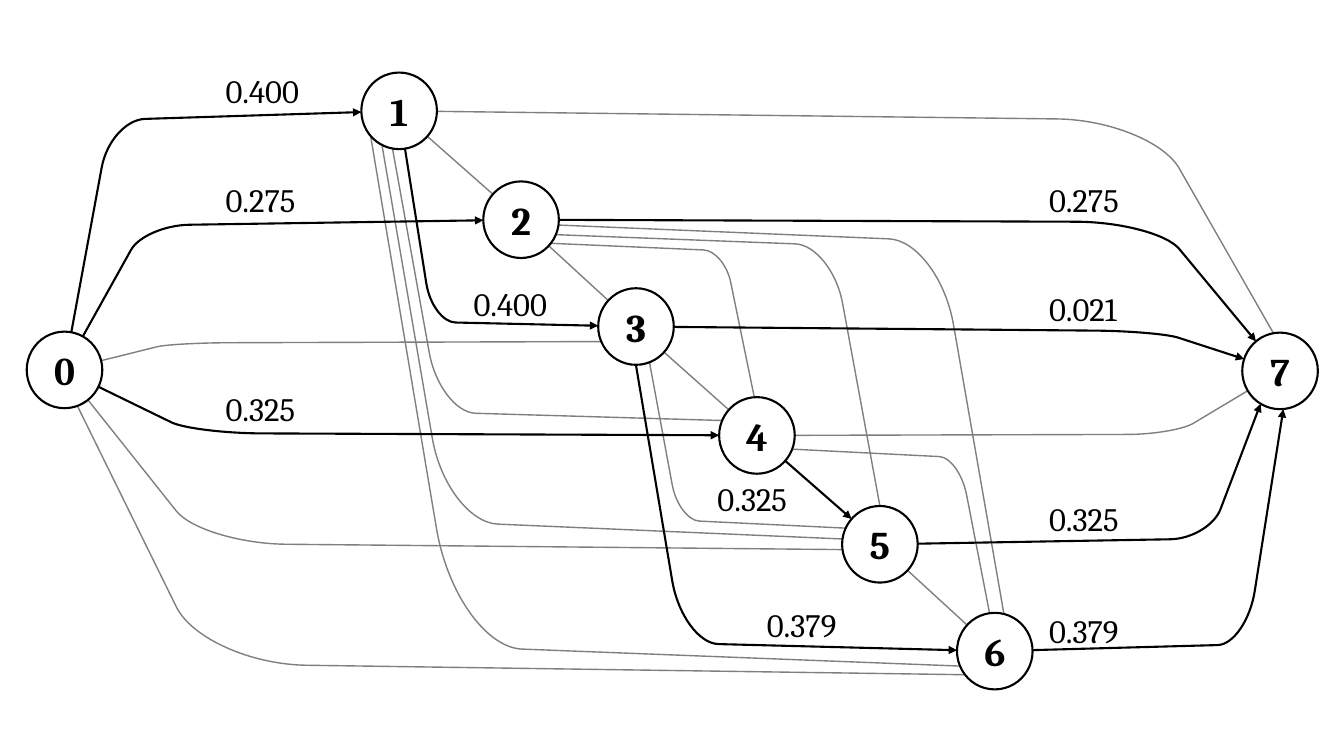
from dataclasses import dataclass
from math import atan2, cos, radians, sin

from lxml.etree import Element, SubElement
from pptx import Presentation
from pptx.dml.color import RGBColor
from pptx.enum.shapes import MSO_CONNECTOR, MSO_SHAPE
from pptx.enum.text import MSO_ANCHOR, MSO_AUTO_SIZE, PP_ALIGN
from pptx.oxml.ns import qn
from pptx.util import Cm, Pt

Point = tuple[float, float]

BLACK = RGBColor(0x00, 0x00, 0x00)
GRAY = RGBColor(0x7F, 0x7F, 0x7F)
WHITE = RGBColor(0xFF, 0xFF, 0xFF)
NODE_W, NODE_H = 0.75, 0.76
LABEL_W, LABEL_H = 0.95, 0.49
ROUNDING = 0.55
NODE_FONT = {"name": "Cambria", "size": Pt(28), "bold": True}
LABEL_FONT = {"name": "Cambria", "size": Pt(23.3)}


def grid(v: float) -> Cm:
    """Length of v diagram units; one unit is 2.54 cm."""
    return Cm(2.54 * v)


@dataclass
class Edge:
    """An edge named by its two nodes, with an optional bend.

    leave and arrive are the angles of its ends on the node circles, in
    degrees; without them an end faces the next point of the edge.
    """
    nodes: str
    bend: tuple[Point, Point] | None = None
    leave: float | None = None
    arrive: float | None = None


@dataclass
class Label:
    text: str
    x: float
    y: float


CENTERS: dict[str, Point] = {
    "0": (0.64, 3.67), "1": (3.96, 1.1), "2": (5.17, 2.18), "3": (6.31, 3.24),
    "4": (7.51, 4.32), "5": (8.73, 5.4), "6": (9.87, 6.46), "7": (12.7, 3.68),
}

LEFT, RIGHT = 2.14, 10.31
LABELS = [
    Label("0.400", LEFT, 0.65), Label("0.275", LEFT, 1.74), Label("0.325", LEFT, 3.81),
    Label("0.400", 4.6, 2.77), Label("0.325", 7.02, 4.7), Label("0.379", 7.51, 5.95),
    Label("0.275", RIGHT, 1.74), Label("0.021", RIGHT, 2.82),
    Label("0.325", RIGHT, 4.9), Label("0.379", RIGHT, 6.01),
]

UNUSED_EDGES = [
    *map(Edge, ("12", "23", "34", "56")),
    Edge("03", ((1.56, 3.44), (2.28, 3.4)), arrive=157),
    Edge("05", ((1.75, 5.07), (2.84, 5.4)), arrive=172),
    Edge("06", ((1.75, 6.02), (3.04, 6.6)), leave=70, arrive=142),
    Edge("14", ((4.26, 3.5), (4.72, 4.1)), leave=100, arrive=203),
    Edge("15", ((4.29, 4.35), (4.94, 5.2)), leave=117, arrive=188),
    Edge("16", ((4.33, 5.24), (5.18, 6.44)), leave=139, arrive=157),
    Edge("17", ((10.49, 1.18), (11.7, 1.67)), arrive=260),
    Edge("24", ((6.98, 2.48), (7.25, 2.8)), leave=38, arrive=266),
    Edge("25", ((7.89, 2.42), (8.36, 3.01)), leave=23, arrive=270),
    Edge("26", ((8.82, 2.37), (9.46, 3.22)), leave=8, arrive=284),
    Edge("35", ((6.67, 4.81), (6.94, 5.17)), leave=69, arrive=205),
    Edge("46", ((9.32, 4.53), (9.59, 4.91)), leave=21, arrive=262),
    Edge("47", ((11.19, 4.31), (11.84, 4.2))),
]

FLOW_EDGES = [
    Edge("01", ((1.01, 1.66), (1.44, 1.18))),
    Edge("02", ((1.3, 2.48), (1.88, 2.23))),
    Edge("04", ((1.7, 4.19), (2.6, 4.3))),
    Edge("13", ((4.23, 2.81), (4.52, 3.2))),
    Edge("36", ((6.67, 5.76), (7.13, 6.39)), leave=90),
    Edge("45"),
    Edge("27", ((10.68, 2.2), (11.7, 2.47))),
    Edge("37", ((10.86, 3.28), (11.69, 3.35))),
    Edge("57", ((11.61, 5.35), (12.11, 5.05)), arrive=121),
    Edge("67", ((12.08, 6.4), (12.45, 5.86)), arrive=85),
]


def port(node: str, angle: float | None, toward: Point) -> Point:
    """Point on a node's outline, at an angle or facing another point."""
    x, y = CENTERS[node]
    a = atan2(toward[1] - y, toward[0] - x) if angle is None else radians(angle)
    return x + NODE_W / 2 * cos(a), y + NODE_H / 2 * sin(a)


def crossing(a: Point, b: Point, c: Point, d: Point) -> Point:
    """Where the line through a and b meets the line through c and d."""
    ux, uy = b[0] - a[0], b[1] - a[1]
    vx, vy = d[0] - c[0], d[1] - c[1]
    t = ((c[0] - a[0]) * vy - (c[1] - a[1]) * vx) / (ux * vy - uy * vx)
    return a[0] + t * ux, a[1] + t * uy


def toward(a: Point, b: Point) -> Point:
    return a[0] + ROUNDING * (b[0] - a[0]), a[1] + ROUNDING * (b[1] - a[1])


def add_curve(s, start: Point, bend: tuple[Point, Point], end: Point):
    """Draw two straight runs joined by a Bézier bend."""
    first, last = bend
    corner = crossing(start, first, last, end)
    route = [start, first, toward(first, corner), toward(last, corner), last, end]
    points = [(grid(x), grid(y)) for x, y in route]
    builder = s.shapes.build_freeform(*points[0])
    builder.add_line_segments(points[1:], close=False)
    sp = builder.convert_to_shape()
    turn = list(sp._element.iter(qn("a:lnTo")))[1:4]
    bezier = Element(qn("a:cubicBezTo"))
    turn[0].addprevious(bezier)
    for segment in turn:
        bezier.append(segment[0])
        segment.getparent().remove(segment)
    sp.fill.background()
    sp.shadow.inherit = False
    return sp


def add_edge(s, edge: Edge, color: RGBColor, width: float, arrow: bool) -> None:
    source, target = edge.nodes
    first, last = edge.bend or (CENTERS[target], CENTERS[source])
    start = port(source, edge.leave, first)
    end = port(target, edge.arrive, last)
    if edge.bend:
        sp = add_curve(s, start, edge.bend, end)
    else:
        sp = s.shapes.add_connector(MSO_CONNECTOR.STRAIGHT, *map(grid, start + end))
    sp.line.color.rgb = color
    sp.line.width = Pt(width)
    if arrow:
        SubElement(sp.line._get_or_add_ln(), qn("a:tailEnd"), type="triangle")
    if not edge.bend:
        SubElement(sp._element.spPr, qn("a:effectLst"))


def write(tf, text: str, font: dict) -> None:
    r = tf.paragraphs[0].add_run()
    r.text = text
    for key, value in font.items():
        setattr(r.font, key, value)
    r.font.color.rgb = BLACK


def add_node(s, name: str, center: Point) -> None:
    x, y = center
    box = (x - NODE_W / 2, y - NODE_H / 2, NODE_W, NODE_H)
    sp = s.shapes.add_shape(MSO_SHAPE.OVAL, *map(grid, box))
    sp.shadow.inherit = False
    sp.fill.solid()
    sp.fill.fore_color.rgb = WHITE
    sp.line.color.rgb = BLACK
    sp.line.width = Pt(1.5)
    tf = sp.text_frame
    tf.vertical_anchor = MSO_ANCHOR.MIDDLE
    tf.paragraphs[0].alignment = PP_ALIGN.CENTER
    write(tf, name, NODE_FONT)


def add_label(s, label: Label) -> None:
    sp = s.shapes.add_textbox(*map(grid, (label.x, label.y, LABEL_W, LABEL_H)))
    tf = sp.text_frame
    tf.word_wrap = False
    tf.auto_size = MSO_AUTO_SIZE.SHAPE_TO_FIT_TEXT
    write(tf, label.text, LABEL_FONT)


def main() -> None:
    prs = Presentation()
    prs.slide_width, prs.slide_height = Cm(33.87), Cm(19.05)
    s = prs.slides.add_slide(prs.slide_layouts[6])
    for edge in UNUSED_EDGES:
        add_edge(s, edge, GRAY, 1, arrow=False)
    for name, center in CENTERS.items():
        add_node(s, name, center)
    for edge in FLOW_EDGES:
        add_edge(s, edge, BLACK, 1.5, arrow=True)
    for label in LABELS:
        add_label(s, label)
    prs.save("out.pptx")


if __name__ == "__main__":
    main()
